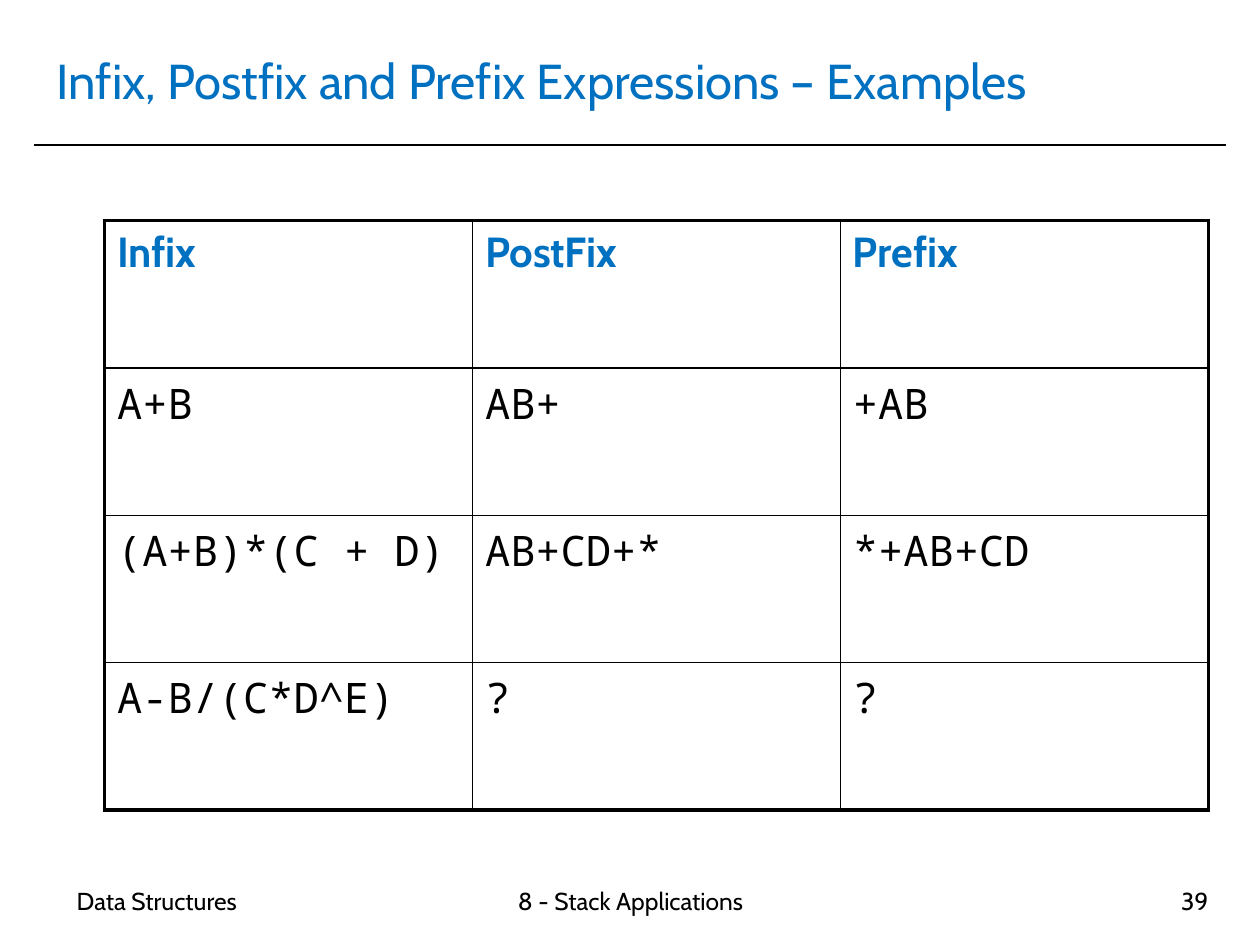
from dataclasses import dataclass

from lxml.etree import SubElement
from pptx import Presentation
from pptx.dml.color import RGBColor
from pptx.enum.shapes import MSO_CONNECTOR
from pptx.enum.text import MSO_ANCHOR, PP_ALIGN
from pptx.oxml import parse_xml
from pptx.oxml.ns import nsdecls, qn
from pptx.util import Inches, Pt


@dataclass(frozen=True)
class Theme:
    ink: str = "000000"
    accent: str = "0070C0"
    body_font: str = "Cabin"
    code_font: str = "Noto Sans Mono"
    title_size: float = 28
    table_size: float = 24
    footer_size: float = 14
    thin: float = 1
    thick: float = 2.25


@dataclass(frozen=True)
class Footer:
    text: str
    left: float
    width: float
    align: PP_ALIGN


THEME = Theme()
SLIDE_W, SLIDE_H = 10, 7.5
RULE_MARGIN, RULE_Y = 0.27, 1.15
TABLE_LEFT, TABLE_TOP = 0.83, 1.75
COL_W, ROW_H = 2.92, 1.17
FOOTER_TOP, FOOTER_H = 6.98, 0.52

EXPRESSIONS = [
    ("Infix", "PostFix", "Prefix"),
    ("A+B", "AB+", "+AB"),
    ("(A+B)*(C + D)", "AB+CD+*", "*+AB+CD"),
    ("A-B/(C*D^E)", "?", "?"),
]
FOOTERS = [
    Footer("Data Structures", 0.51, 2.33, PP_ALIGN.LEFT),
    Footer("8 - Stack Applications", 3.35, 3.31, PP_ALIGN.CENTER),
    Footer("39", 7.36, 2.33, PP_ALIGN.RIGHT),
]


def write(tf, text: str, size: float, color: str, font: str = THEME.body_font,
          bold: bool = False, align: PP_ALIGN = PP_ALIGN.LEFT) -> None:
    p = tf.paragraphs[0]
    p.alignment = align
    r = p.add_run()
    r.text = text
    r.font.name, r.font.size, r.font.bold = font, Pt(size), bold
    r.font.color.rgb = RGBColor.from_string(color)


def draw_title(s, text: str) -> None:
    sp = s.shapes.title
    sp.left, sp.top, sp.width, sp.height = map(Inches, (0.35, 0.21, 9.29, 0.85))
    sp.text_frame.vertical_anchor = MSO_ANCHOR.MIDDLE
    write(sp.text_frame, text, THEME.title_size, THEME.accent)


def draw_rule(s) -> None:
    line = s.shapes.add_connector(
        MSO_CONNECTOR.STRAIGHT, Inches(RULE_MARGIN), Inches(RULE_Y),
        Inches(SLIDE_W - RULE_MARGIN), Inches(RULE_Y))
    line.line.color.rgb = RGBColor.from_string(THEME.ink)
    line.line.width = Pt(THEME.thin)
    SubElement(line._element.spPr, qn("a:effectLst"))


def set_borders(cell, outer: dict[str, bool]) -> None:
    """Thick lines on the table's outer edges, thin lines inside."""
    tc_pr = cell._tc.get_or_add_tcPr()
    for i, (side, is_outer) in enumerate(outer.items()):
        width = Pt(THEME.thick if is_outer else THEME.thin)
        tc_pr.insert(i, parse_xml(
            f'<a:ln{side} {nsdecls("a")} w="{width}"><a:solidFill>'
            f'<a:srgbClr val="{THEME.ink}"/></a:solidFill></a:ln{side}>'))


def draw_table(s, rows: list[tuple[str, ...]]) -> None:
    n_rows, n_cols = len(rows), len(rows[0])
    table = s.shapes.add_table(
        n_rows, n_cols, Inches(TABLE_LEFT), Inches(TABLE_TOP),
        Inches(COL_W * n_cols), Inches(ROW_H * n_rows)).table
    table.first_row = table.horz_banding = False
    for i, row in enumerate(rows):
        for j, text in enumerate(row):
            cell = table.cell(i, j)
            cell.fill.background()
            set_borders(cell, {"L": j == 0, "R": j == n_cols - 1,
                               "T": i == 0, "B": i == n_rows - 1})
            header = i == 0
            write(cell.text_frame, text, THEME.table_size,
                  THEME.accent if header else THEME.ink,
                  THEME.body_font if header else THEME.code_font, bold=header)


def draw_footer(s, footer: Footer) -> None:
    sp = s.shapes.add_textbox(Inches(footer.left), Inches(FOOTER_TOP),
                              Inches(footer.width), Inches(FOOTER_H))
    sp.text_frame.word_wrap = True
    write(sp.text_frame, footer.text, THEME.footer_size, THEME.ink, align=footer.align)


def main() -> None:
    prs = Presentation()
    prs.slide_width, prs.slide_height = Inches(SLIDE_W), Inches(SLIDE_H)
    s = prs.slides.add_slide(prs.slide_layouts.get_by_name("Title Only"))

    # Heading
    draw_rule(s)
    draw_title(s, "Infix, Postfix and Prefix Expressions – Examples")

    # Expression table
    draw_table(s, EXPRESSIONS)

    # Footer line
    for footer in FOOTERS:
        draw_footer(s, footer)

    prs.save("out.pptx")


if __name__ == "__main__":
    main()
